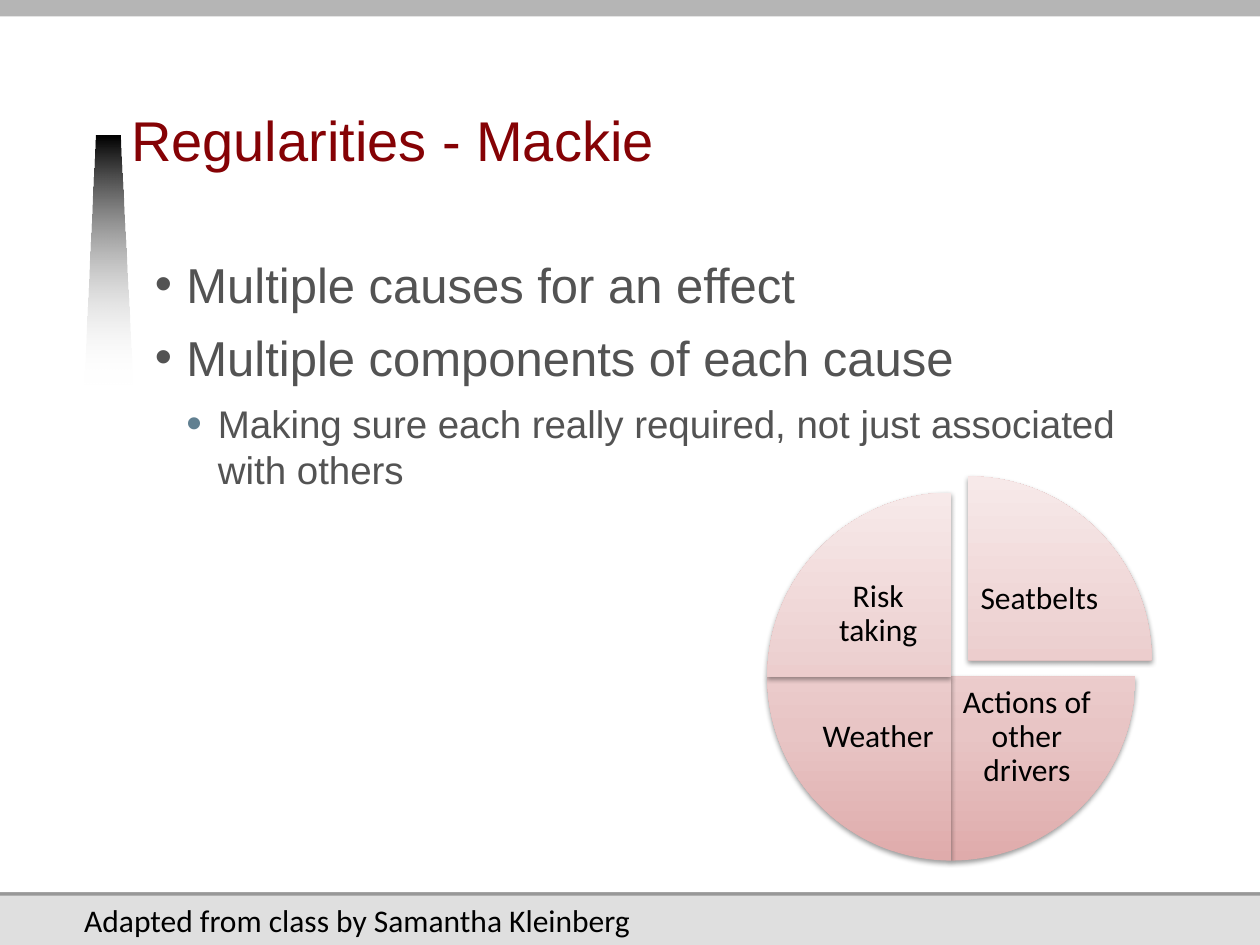
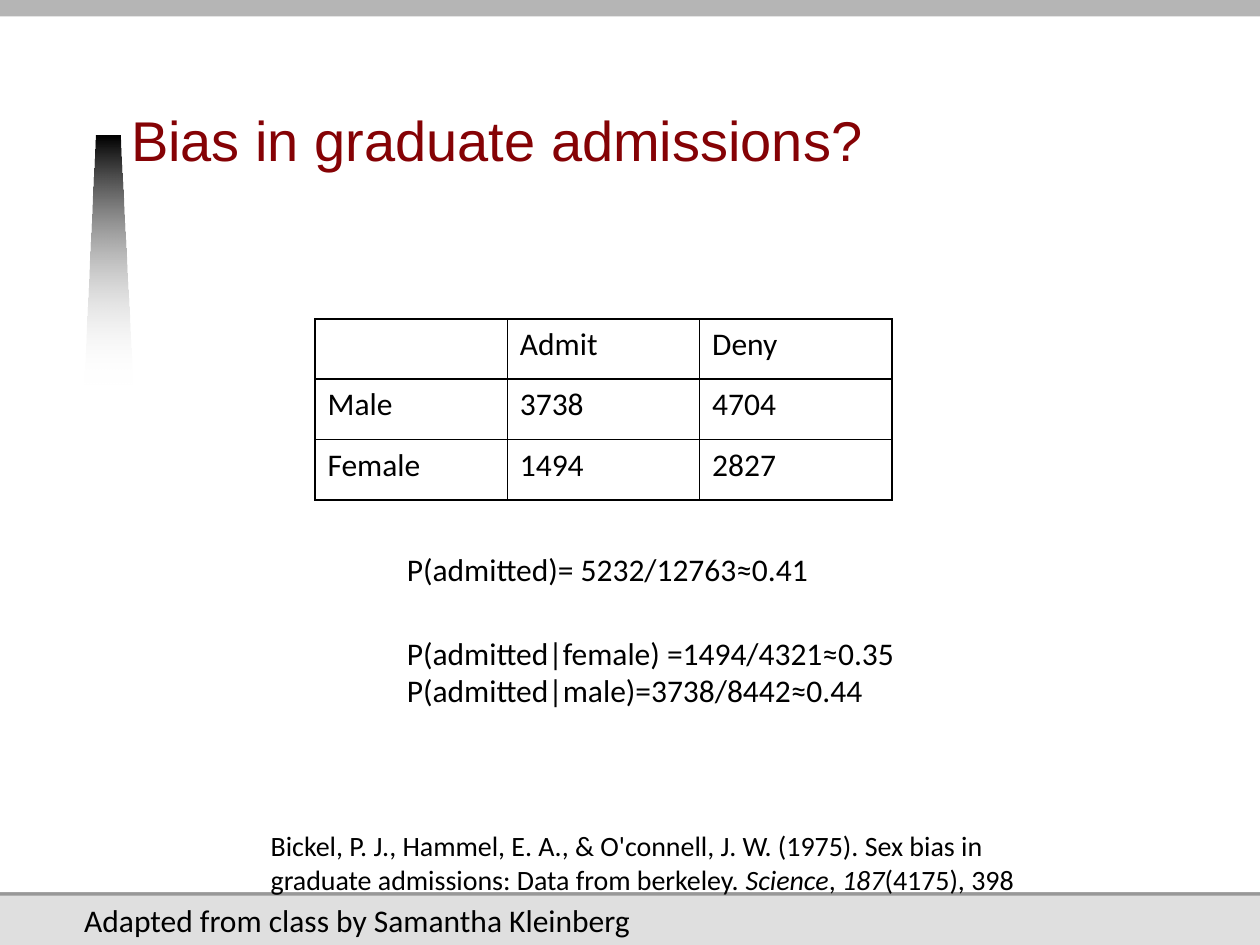
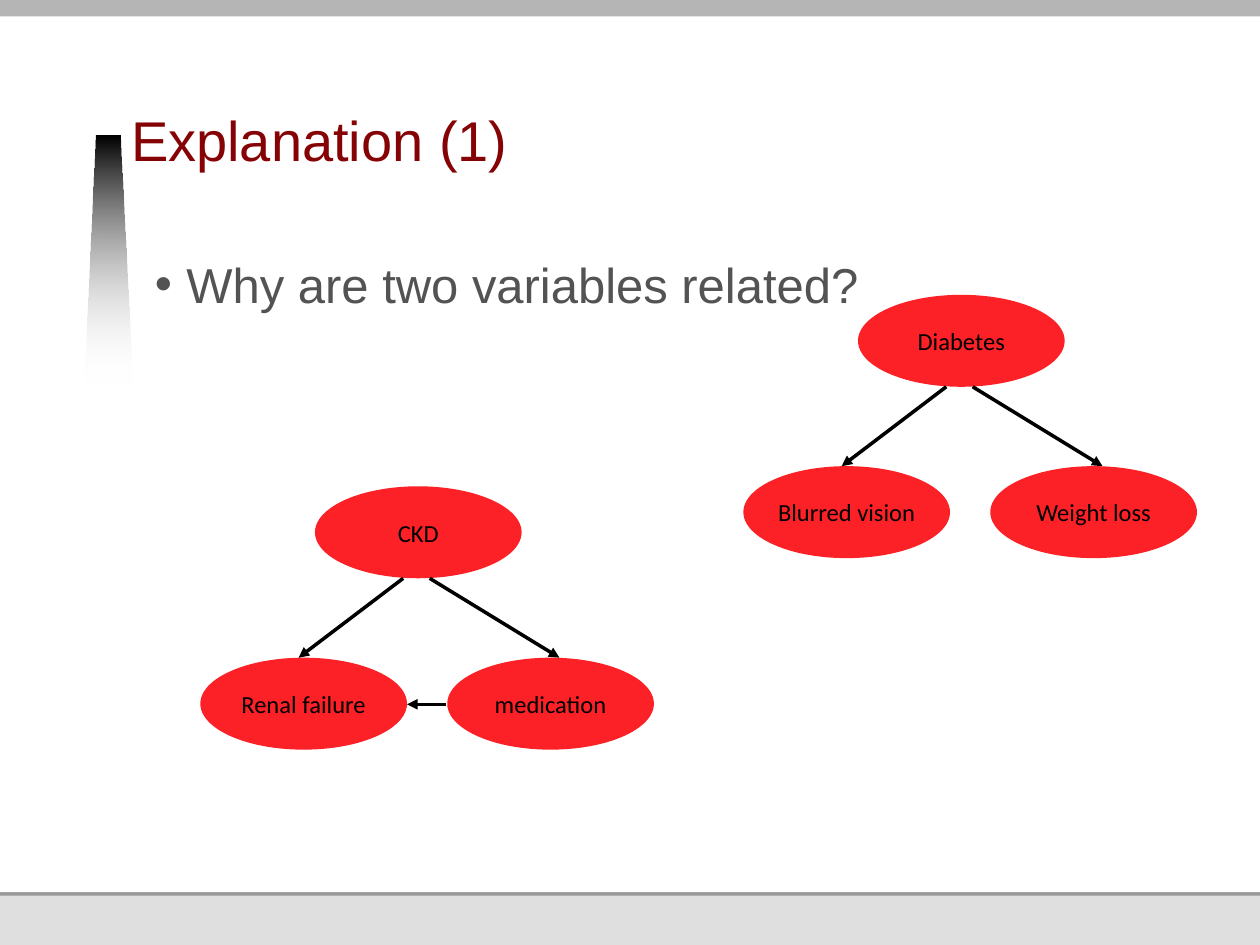
from copy import deepcopy

from pptx import Presentation
from pptx.dml.color import RGBColor
from pptx.enum.shapes import MSO_CONNECTOR, MSO_SHAPE
from pptx.enum.text import MSO_ANCHOR, MSO_AUTO_SIZE, PP_ALIGN
from pptx.oxml import parse_xml
from pptx.oxml.ns import nsdecls, qn
from pptx.util import Inches, Pt

BLACK = RGBColor(0x00, 0x00, 0x00)
WHITE = RGBColor(0xFF, 0xFF, 0xFF)
TITLE_RED = RGBColor(0x85, 0x02, 0x05)
BODY_GRAY = RGBColor(0x53, 0x53, 0x53)
BULLET_BLUE = RGBColor(0x61, 0x80, 0x91)
TOP_GRAY = RGBColor(0xB5, 0xB5, 0xB5)
RULE_GRAY = RGBColor(0x98, 0x98, 0x98)
FOOTER_GRAY = RGBColor(0xDF, 0xDF, 0xDF)
NODE_RED = RGBColor(0xFC, 0x21, 0x26)
PIE_STOPS = [
    (0, RGBColor(0xDF, 0xAB, 0xAB)),
    (0.35, RGBColor(0xE8, 0xC5, 0xC5)),
    (1, RGBColor(0xF7, 0xE9, 0xE9)),
]


def write_text(frame, *paragraphs, size=18, font="Calibri", color=BLACK, align=PP_ALIGN.LEFT,
               anchor=MSO_ANCHOR.TOP, margins=(0.1, 0.05, 0.1, 0.05), wrap=True, spacing=None):
    """Fill a text frame; a paragraph is a string or a list of (text, italic) runs."""
    frame.auto_size = MSO_AUTO_SIZE.NONE
    frame.word_wrap = wrap
    frame.vertical_anchor = anchor
    frame.margin_left, frame.margin_top, frame.margin_right, frame.margin_bottom = map(Inches, margins)
    for index, content in enumerate(paragraphs):
        paragraph = frame.add_paragraph() if index else frame.paragraphs[0]
        paragraph.alignment = align
        paragraph.line_spacing = spacing
        for text, italic in [(content, False)] if isinstance(content, str) else content:
            run = paragraph.add_run()
            run.text = text
            run.font.size = Pt(size)
            run.font.name = font
            run.font.color.rgb = color
            run.font.italic = italic


def fill_gradient(shape, angle, stops):
    """Give a shape a linear gradient, with the angle counted counter-clockwise."""
    shape.fill.gradient()
    shape.fill.gradient_angle = angle
    stop_list = shape.element.find(".//" + qn("a:gsLst"))
    while len(stop_list) < len(stops):
        stop_list.append(deepcopy(stop_list[-1]))
    for stop, (position, color) in zip(shape.fill.gradient_stops, stops):
        stop.position = position
        stop.color.rgb = color


presentation = Presentation()
presentation.slide_width = Inches(10)
presentation.slide_height = Inches(7.5)
title_layout = presentation.slide_layouts[5]

# Titles
slides = []
for title_text in ["Regularities - Mackie", "Bias in graduate admissions?", "Explanation (1)"]:
    slide = presentation.slides.add_slide(title_layout)
    title = slide.shapes.title
    title.left, title.top, title.width, title.height = map(Inches, (1.04, 0.34, 6.87, 1.08))
    write_text(title.text_frame, title_text, size=32, font="Arial", color=TITLE_RED,
               anchor=MSO_ANCHOR.BOTTOM, margins=(0, 0, 0, 0.05), spacing=Pt(34))
    slides.append(slide)
regularities, admissions, explanation = slides

# Stacked panels and tapered bar, built once and moved to the layout
panels = [
    (0, 7.5, FOOTER_GRAY),
    (1.78, 5.33, RULE_GRAY),
    (0, 7.08, WHITE),
    (0, 0.13, TOP_GRAY),
]
decorations = []
for top, height, color in panels:
    panel = regularities.shapes.add_shape(MSO_SHAPE.RECTANGLE, 0, Inches(top), Inches(10), Inches(height))
    panel.fill.solid()
    panel.fill.fore_color.rgb = color
    decorations.append(panel)
outline = regularities.shapes.build_freeform(Inches(0.67), Inches(3.05))
outline.add_line_segments([(Inches(x), Inches(y)) for x, y in [(0.76, 1.08), (0.95, 1.08), (1.05, 3.05)]])
tapered_bar = outline.convert_to_shape()
fill_gradient(tapered_bar, 270, [(0, BLACK), (1, WHITE)])
end_color = tapered_bar.element.findall(".//" + qn("a:srgbClr"))[-1]
end_color.append(parse_xml(f'<a:alpha {nsdecls("a")} val="0"/>'))
decorations.append(tapered_bar)
for index, shape in enumerate(decorations):
    shape.line.fill.background()
    shape.shadow.inherit = False
    shape.element.nvSpPr.cNvPr.id = 100 + index
    title_layout.shapes.element.insert(2 + index, shape.element)

# Bulleted text
bullet_styles = [(28, BODY_GRAY, BODY_GRAY, 100), (22, BODY_GRAY, BULLET_BLUE, 115)]
bodies = [
    (regularities, [
        ("Multiple causes for an effect", 0),
        ("Multiple components of each cause", 0),
        ("Making sure each really required, not just associated with others", 1),
    ]),
    (explanation, [("Why are two variables related?", 0)]),
]
for slide, items in bodies:
    body = slide.shapes.add_textbox(Inches(1.23), Inches(2.02), Inches(7.71), Inches(4.79))
    write_text(body.text_frame, *[text for text, level in items], font="Arial", margins=(0, 0, 0, 0.05))
    for paragraph, (text, level) in zip(body.text_frame.paragraphs, items):
        size, text_color, bullet_color, bullet_percent = bullet_styles[level]
        paragraph.level = level
        paragraph.space_after = Pt(8)
        properties = paragraph._p.get_or_add_pPr()
        properties.set("marL", str(Inches(0.25 * (level + 1))))
        properties.set("indent", str(Inches(-0.25)))
        for bullet in [
            f'<a:buClr {nsdecls("a")}><a:srgbClr val="{bullet_color}"/></a:buClr>',
            f'<a:buSzPct {nsdecls("a")} val="{bullet_percent * 1000}"/>',
            f'<a:buFont {nsdecls("a")} typeface="Arial"/>',
            f'<a:buChar {nsdecls("a")} char="•"/>',
        ]:
            properties.append(parse_xml(bullet))
        paragraph.runs[0].font.size = Pt(size)
        paragraph.runs[0].font.color.rgb = text_color

# Pie of causes: start and end angles, pie corner, label corner
wedges = [
    ("Seatbelts", 162, 0, 6.22, 3.78, 7.71, 4.32),
    ("Actions of other drivers", 0, 54, 6.09, 3.91, 7.61, 5.42),
    ("Weather", 54, 108, 6.09, 3.91, 6.43, 5.42),
    ("Risk taking", 108, 162, 6.09, 3.91, 6.43, 4.44),
]
for label_text, start, end, left, top, label_left, label_top in wedges:
    wedge = regularities.shapes.add_shape(MSO_SHAPE.PIE, Inches(left), Inches(top), Inches(2.92), Inches(2.92))
    wedge.adjustments[0] = start
    wedge.adjustments[1] = end
    fill_gradient(wedge, 90, PIE_STOPS)
    wedge.line.fill.background()
    wedge.shadow.inherit = False
    wedge.element.spPr.find(qn("a:effectLst")).append(parse_xml(
        f'<a:outerShdw {nsdecls("a")} blurRad="{Pt(3.1)}" dist="{Pt(1.6)}" dir="5400000" rotWithShape="0">'
        '<a:srgbClr val="000000"><a:alpha val="38000"/></a:srgbClr></a:outerShdw>'))
    label = regularities.shapes.add_textbox(Inches(label_left), Inches(label_top), Inches(1.08), Inches(0.87))
    write_text(label.text_frame, label_text, align=PP_ALIGN.CENTER, anchor=MSO_ANCHOR.MIDDLE,
               margins=(0.03, 0.03, 0.03, 0.03), spacing=0.9)

# Admissions table
admission_rows = [("", "Admit", "Deny"), ("Male", "3738", "4704"), ("Female", "1494", "2827")]
table = admissions.shapes.add_table(3, 3, Inches(2.5), Inches(2.53), Inches(4.58), Inches(1.44)).table
table.first_row = False
table.horz_banding = False
for row_index, values in enumerate(admission_rows):
    for column_index, value in enumerate(values):
        cell = table.cell(row_index, column_index)
        if value:
            write_text(cell.text_frame, value)
        for side in ("lnL", "lnR", "lnT", "lnB"):
            cell._tc.get_or_add_tcPr().append(parse_xml(
                f'<a:{side} {nsdecls("a")} w="{Pt(1)}"><a:solidFill><a:srgbClr val="{BLACK}"/>'
                f'</a:solidFill></a:{side}>'))
        cell.fill.background()

# Probabilities, citation and footers
credit = ["Adapted from class by Samantha Kleinberg"]
citation = [
    ("Bickel, P. J., Hammel, E. A., & O'connell, J. W. (1975). Sex bias in graduate admissions: "
     "Data from berkeley. ", False),
    ("Science", True), (", ", False), ("187", True), ("(4175), 398", False),
]
conditionals = ["P(admitted|female) =1494/4321≈0.35", "P(admitted|male)=3738/8442≈0.44"]
notes = [
    (admissions, (3.13, 4.32, 5.28, 0.4), ["P(admitted)= 5232/12763≈0.41"], 18, True),
    (admissions, (3.13, 4.98, 4.12, 0.71), conditionals, 18, False),
    (admissions, (2.05, 6.53, 6.36, 0.64), [citation], 16, True),
    (regularities, (0.57, 7.1, 4.59, 0.4), credit, 18, False),
    (admissions, (0.57, 7.1, 4.59, 0.4), credit, 18, False),
]
for slide, position, paragraphs, size, wrap in notes:
    note = slide.shapes.add_textbox(*map(Inches, position))
    write_text(note.text_frame, *paragraphs, size=size, wrap=wrap)

# Cause trees: a root with two effects below it
tree_offsets = [(0, 0), (-0.91, 1.36), (1.05, 1.36)]
arrow_offsets = [(0.91, 0.73, 1.94, 1.36), (0.7, 0.73, -0.13, 1.36)]
trees = [
    (6.81, 2.34, ["Diabetes", "Blurred vision", "Weight loss"]),
    (2.5, 3.86, ["CKD", "Renal failure", "medication"]),
]
arrow_ends = [(3.54, 5.59, 3.23, 5.59)]
for left, top, names in trees:
    for name, (x, y) in zip(names, tree_offsets):
        node = explanation.shapes.add_shape(
            MSO_SHAPE.OVAL, Inches(left + x), Inches(top + y), Inches(1.64), Inches(0.73))
        node.fill.solid()
        node.fill.fore_color.rgb = NODE_RED
        node.line.fill.background()
        node.shadow.inherit = False
        write_text(node.text_frame, name, size=14, align=PP_ALIGN.CENTER, anchor=MSO_ANCHOR.MIDDLE,
                   margins=(0, 0, 0, 0), wrap=False)
    for x1, y1, x2, y2 in arrow_offsets:
        arrow_ends.append((left + x1, top + y1, left + x2, top + y2))

for ends in arrow_ends:
    arrow = explanation.shapes.add_connector(MSO_CONNECTOR.STRAIGHT, *map(Inches, ends))
    arrow.line.color.rgb = BLACK
    arrow.line.width = Pt(2)
    arrow.line._get_or_add_ln().append(parse_xml(f'<a:tailEnd {nsdecls("a")} type="triangle"/>'))
    arrow.element.spPr.append(parse_xml(f'<a:effectLst {nsdecls("a")}/>'))

presentation.save("out.pptx")
